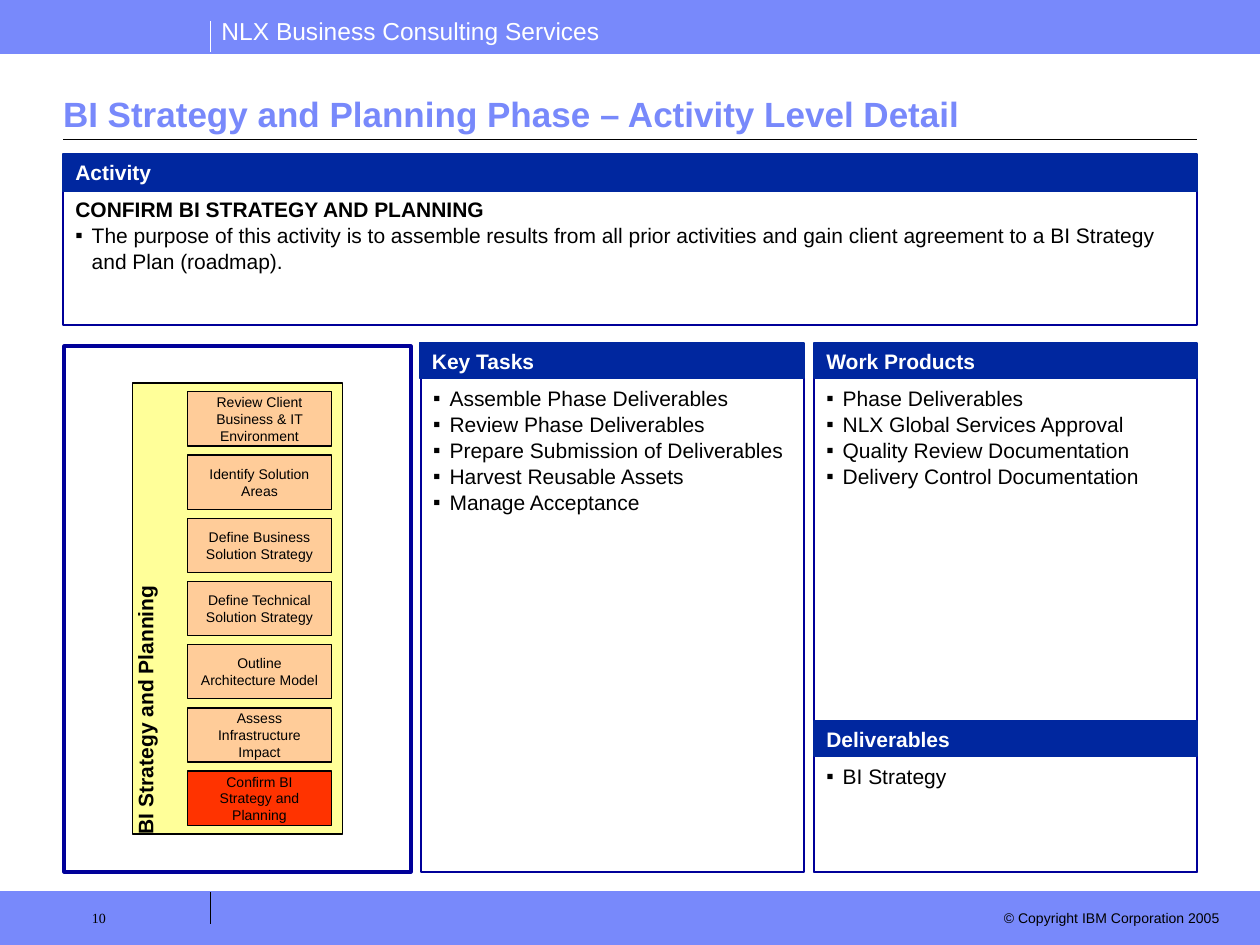
"""Build the activity detail slide of a strategy and planning phase."""
from dataclasses import dataclass

from lxml import etree
from pptx import Presentation
from pptx import util as u
from pptx.dml.color import RGBColor
from pptx.enum import shapes as es, text as et
from pptx.oxml.ns import qn

HUES = {
    "band": "7889FB", "head": "00279F", "edge": "000099", "ink": "000000",
    "white": "FFFFFF", "phase": "FFFF99", "step": "FFCC99", "now": "FF3300",
}
Area = tuple[float, float, float, float]


@dataclass
class Style:
    size: float = 12
    hue: str = "ink"
    bold: bool = False
    face: str = "Arial"
    align: et.PP_ALIGN = et.PP_ALIGN.LEFT
    anchor: et.MSO_ANCHOR = et.MSO_ANCHOR.TOP
    pad: tuple[float, float, float, float] = (0.1, 0.05, 0.1, 0.05)
    wrap: bool = True


@dataclass
class Panel:
    title: str
    head: Area
    body: Area
    items: list[str]
    lead: str = ""


@dataclass
class Rule:
    start: tuple[float, float]
    end: tuple[float, float]
    hue: str
    width: float = 0.75


HEAD = Style(hue="white", bold=True)
STEP = Style(8, align=et.PP_ALIGN.CENTER, anchor=et.MSO_ANCHOR.MIDDLE)
PHASE = Style(bold=True, align=et.PP_ALIGN.CENTER, pad=(0.05, 0, 0, 0.1), wrap=False)

PANELS = [
    Panel("Activity", (0.5, 1.22, 9, 0.3), (0.5, 1.5, 9, 1.08),
          ["The purpose of this activity is to assemble results from all prior "
           "activities and gain client agreement to a BI Strategy and Plan (roadmap)."],
          "CONFIRM BI STRATEGY AND PLANNING"),
    Panel("Key Tasks", (3.33, 2.72, 3.05, 0.28), (3.34, 3, 3.04, 3.92),
          ["Assemble Phase Deliverables", "Review Phase Deliverables",
           "Prepare Submission of Deliverables", "Harvest Reusable Assets",
           "Manage Acceptance"]),
    Panel("Work Products", (6.46, 2.72, 3.04, 0.28), (6.46, 3, 3.04, 3.92),
          ["Phase Deliverables", "NLX Global Services Approval",
           "Quality Review Documentation", "Delivery Control Documentation"]),
    Panel("Deliverables", (6.46, 5.72, 3.04, 0.28), (6.46, 6, 3.04, 0.92),
          ["BI Strategy"]),
]
STEPS = [
    "Review Client Business & IT Environment", "Identify Solution Areas",
    "Define Business Solution Strategy", "Define Technical Solution Strategy",
    "Outline Architecture Model", "Assess Infrastructure Impact",
    "Confirm BI Strategy and Planning",
]
RULES = [
    Rule((1.67, 0.42), (1.67, 0.17), "white"),
    Rule((0, 0.42), (10, 0.42), "band", 0.5),
    Rule((0, 7.08), (10, 7.08), "band", 0.5),
    Rule((0.5, 1.11), (9.5, 1.11), "ink"),
    Rule((1.67, 7.33), (1.67, 7.08), "ink"),
]


def tint(name: str) -> RGBColor:
    """Return the named colour."""
    return RGBColor.from_string(HUES[name])


def write(shape, words: str, style: Style) -> None:
    """Fill a shape with styled text."""
    frame = shape.text_frame
    frame.text = words
    frame.word_wrap = style.wrap
    frame.auto_size = et.MSO_AUTO_SIZE.NONE
    frame.vertical_anchor = style.anchor
    (frame.margin_left, frame.margin_top,
     frame.margin_right, frame.margin_bottom) = map(u.Inches, style.pad)
    for para in frame.paragraphs:
        para.alignment = style.align
        for run in para.runs:
            font = run.font
            font.name, font.size, font.bold = style.face, u.Pt(style.size), style.bold
            font.color.rgb = tint(style.hue)


def block(home, area: Area, fill: str | None, edge: str, width: float = 0.75):
    """Add a rectangle to a slide or group."""
    rect = home.shapes.add_shape(es.MSO_SHAPE.RECTANGLE, *map(u.Inches, area))
    rect.shadow.inherit = False
    if fill:
        rect.fill.solid()
        rect.fill.fore_color.rgb = tint(fill)
    else:
        rect.fill.background()
    rect.line.color.rgb = tint(edge)
    rect.line.width = u.Pt(width)
    return rect


def label(slide, area: Area, words: str, style: Style) -> None:
    """Add a text box."""
    write(slide.shapes.add_textbox(*map(u.Inches, area)), words, style)


def stroke(slide, rule: Rule) -> None:
    """Add a straight line."""
    ends = map(u.Inches, rule.start + rule.end)
    line = slide.shapes.add_connector(es.MSO_CONNECTOR.STRAIGHT, *ends)
    line.line.color.rgb = tint(rule.hue)
    line.line.width = u.Pt(rule.width)
    etree.SubElement(line._element.spPr, qn("a:effectLst"))


def bullet(para) -> None:
    """Give a paragraph a square bullet with a hanging indent."""
    props = para._p.get_or_add_pPr()
    props.set("marL", str(u.Inches(0.13)))
    props.set("indent", str(-u.Inches(0.13)))
    hue = etree.SubElement(props, qn("a:buClr"))
    etree.SubElement(hue, qn("a:srgbClr"), val=HUES["ink"])
    etree.SubElement(props, qn("a:buFont"), typeface="Arial")
    etree.SubElement(props, qn("a:buChar"), char="▪")


def panel(slide, data: Panel) -> None:
    """Draw a framed list below its heading bar."""
    body = block(slide, data.body, None, "edge", 1)
    lines = [data.lead] * bool(data.lead) + data.items
    write(body, "\n".join(lines), Style())
    for para in body.text_frame.paragraphs:
        para.line_spacing = 1.04
        if para.text == data.lead:
            para.runs[0].font.bold = True
        else:
            bullet(para)
    write(block(slide, data.head, "head", "head", 1), data.title, HEAD)


def flow(slide) -> None:
    """Draw the phase with its steps, the last one marked as current."""
    block(slide, (0.51, 2.75, 2.75, 4.17), None, "edge", 2.25)
    group = slide.shapes.add_group_shape()
    phase = block(group, (1.05, 3.04, 1.67, 3.58), "phase", "ink")
    phase.rotation = 180
    write(phase, "BI Strategy and Planning", PHASE)
    phase.text_frame._txBody.bodyPr.set("vert", "eaVert")
    pitch = (6.12 - 3.11) / (len(STEPS) - 1)
    for i, words in enumerate(STEPS):
        fill = "now" if words == STEPS[-1] else "step"
        write(block(group, (1.49, 3.11 + i * pitch, 1.14, 0.43), fill, "ink"), words, STEP)


def main() -> None:
    """Build and save the slide."""
    deck = Presentation()
    deck.slide_width, deck.slide_height = u.Inches(10), u.Inches(7.5)
    slide = deck.slides.add_slide(deck.slide_layouts[5])
    for top in (7.08, 0):
        block(slide, (0, top, 10, 0.42), "band", "band")
    for rule in RULES:
        stroke(slide, rule)
    title = slide.shapes.title
    title.left, title.top, title.width, title.height = map(u.Inches, (0.5, 0.67, 9, 0.45))
    write(title, "BI Strategy and Planning Phase – Activity Level Detail",
          Style(20, "band", True, anchor=et.MSO_ANCHOR.BOTTOM, pad=(0, 0.05, 0, 0.05)))
    label(slide, (1.66, 0.08, 3.17, 0.34), "NLX Business Consulting Services",
          Style(14, "white", wrap=False))
    label(slide, (7.83, 7.17, 1.95, 0.24), "© Copyright IBM Corporation 2005",
          Style(8, align=et.PP_ALIGN.RIGHT))
    label(slide, (0.33, 7.15, 1.33, 0.35), "10",
          Style(8, face="Times New Roman", pad=(0.4, 0.07, 0.1, 0.05)))
    for data in PANELS:
        panel(slide, data)
    flow(slide)
    deck.save("out.pptx")


if __name__ == "__main__":
    main()
